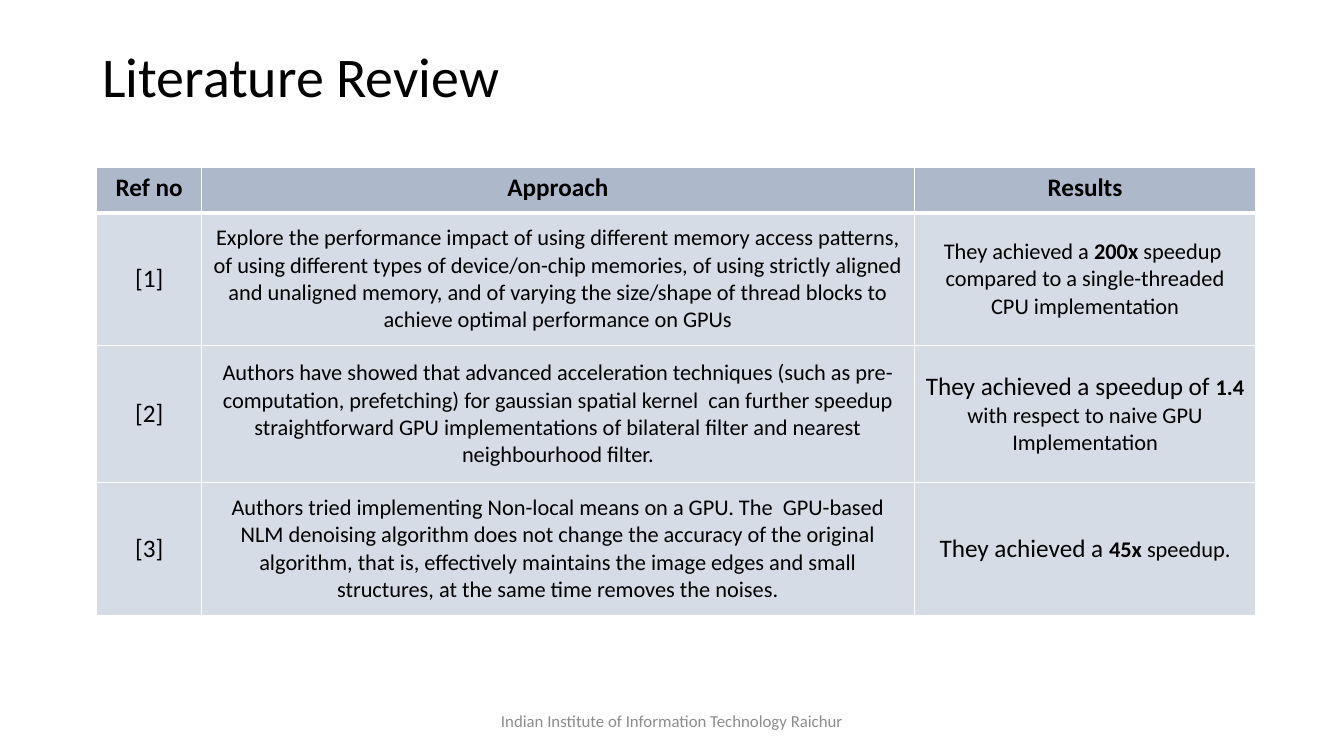
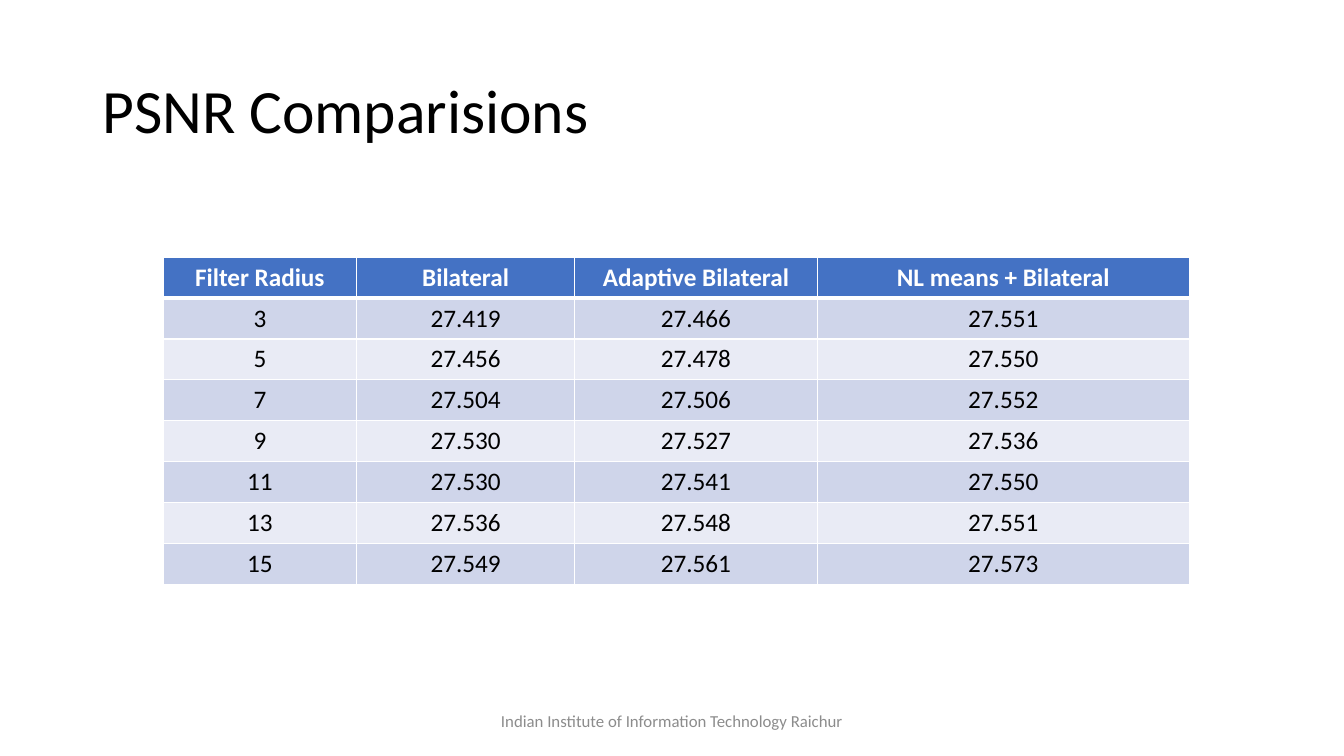
"""Build two slides on image denoising: a literature review and a PSNR comparison."""
from lxml.etree import SubElement
from pptx import Presentation
from pptx.dml.color import RGBColor
from pptx.enum.text import MSO_ANCHOR, PP_ALIGN
from pptx.oxml.ns import qn
from pptx.util import Cm, Pt

BLACK = RGBColor(0x00, 0x00, 0x00)
WHITE = RGBColor(0xFF, 0xFF, 0xFF)
FOOTER_GREY = RGBColor(0x8C, 0x8C, 0x8C)
STEEL = RGBColor(0xAD, 0xB9, 0xCA)
PALE_STEEL = RGBColor(0xD6, 0xDC, 0xE5)
BLUE = RGBColor(0x44, 0x72, 0xC4)
LIGHT_BLUE = RGBColor(0xCF, 0xD5, 0xEA)
PALE_BLUE = RGBColor(0xE9, 0xEB, 0xF5)

FONT = "Calibri"
FOOTER = "Indian Institute of Information Technology Raichur"

REVIEW_ROWS = [
    ["Ref no", "Approach", "Results"],
    [
        "[1]",
        [("Explore the performance impact of using different memory access patterns, "
          "of using different types of device/on-chip memories, of using strictly aligned "
          "and unaligned memory, and of varying the size/shape of thread blocks to "
          "achieve optimal performance on GPUs", 16, False)],
        [("They achieved a ", 16, False), ("200x", 16, True),
         (" speedup  compared to a single-threaded CPU implementation", 16, False)],
    ],
    [
        "[2]",
        [("Authors have showed that advanced acceleration techniques (such as "
          "pre-computation, prefetching) for gaussian spatial kernel  can further speedup "
          "straightforward GPU implementations of bilateral filter and nearest "
          "neighbourhood filter.", 16, False)],
        [("They achieved a speedup of ", 18, False), ("1.4", 16, True),
         (" with respect to naive GPU Implementation", 16, False)],
    ],
    [
        "[3]",
        [("Authors tried implementing Non-local means on a GPU. The  GPU-based "
          "NLM denoising algorithm does not change the accuracy of the "
          "original algorithm, that is, effectively maintains the image edges and small "
          "structures, at the same time removes the noises.", 16, False)],
        [("They achieved a ", 18, False), ("45x", 16, True), (" speedup.", 16, False)],
    ],
]

PSNR_ROWS = [
    ["Filter Radius", "Bilateral", "Adaptive Bilateral", "NL means + Bilateral"],
    ["3", "27.419", "27.466", "27.551"],
    ["5", "27.456", "27.478", "27.550"],
    ["7", "27.504", "27.506", "27.552"],
    ["9", "27.530", "27.527", "27.536"],
    ["11", "27.530", "27.541", "27.550"],
    ["13", "27.536", "27.548", "27.551"],
    ["15", "27.549", "27.561", "27.573"],
]

SLIDES = [
    {
        "title": "Literature Review", "title_size": 40, "title_height": 1.98,
        "rows": REVIEW_ROWS, "left": 2.44, "top": 4.22,
        "widths": [2.64, 17.96, 8.61], "heights": [1.14, 3.35, 3.45, 3.35],
        "header_fill": STEEL, "header_color": BLACK,
        "bands": [PALE_STEEL], "body_anchor": MSO_ANCHOR.MIDDLE,
    },
    {
        "title": "PSNR Comparisions", "title_size": 44, "title_height": 3.68,
        "rows": PSNR_ROWS, "left": 4.11, "top": 6.48,
        "widths": [4.88, 5.49, 6.12, 9.37], "heights": [1.03] * len(PSNR_ROWS),
        "header_fill": BLUE, "header_color": WHITE,
        "bands": [LIGHT_BLUE, PALE_BLUE], "body_anchor": MSO_ANCHOR.TOP,
    },
]


def write_spans(para, spans, color, align):
    para.alignment = align
    for text, size, bold in spans:
        span = para.add_run()
        span.text = text
        span.font.color.rgb = color
        for name, value in {"name": FONT, "size": Pt(size), "bold": bold}.items():
            setattr(span.font, name, value)


def draw_borders(cell, points):
    properties = cell._tc.get_or_add_tcPr()
    for side, width in points.items():
        line = SubElement(properties, qn(f"a:ln{side}"), w=str(Pt(width)))
        fill = SubElement(line, qn("a:solidFill"))
        SubElement(fill, qn("a:srgbClr"), val=str(WHITE))


deck = Presentation()
deck.slide_width, deck.slide_height = Cm(33.87), Cm(19.05)

for content in SLIDES:
    page = deck.slides.add_slide(deck.slide_layouts[6])

    labels = [
        (content["title"], content["title_size"], BLACK, PP_ALIGN.LEFT, 0.9,
         (2.33, 1.02, 29.21, content["title_height"])),
        (FOOTER, 12, FOOTER_GREY, PP_ALIGN.CENTER, 1.0, (11.22, 17.66, 11.43, 1.01)),
    ]
    for text, size, color, align, spacing, place in labels:
        box = page.shapes.add_textbox(*[Cm(length) for length in place])
        box.text_frame.word_wrap = True
        box.text_frame.vertical_anchor = MSO_ANCHOR.MIDDLE
        para = box.text_frame.paragraphs[0]
        para.line_spacing = spacing
        write_spans(para, [(text, size, False)], color, align)

    rows, widths, heights = content["rows"], content["widths"], content["heights"]
    table = page.shapes.add_table(
        len(rows), len(widths), Cm(content["left"]), Cm(content["top"]),
        Cm(sum(widths)), Cm(sum(heights))).table
    for column, width in zip(table.columns, widths):
        column.width = Cm(width)

    for row_index, (row, height) in enumerate(zip(rows, heights)):
        table.rows[row_index].height = Cm(height)
        header = row_index == 0
        bands = content["bands"]
        fill = content["header_fill"] if header else bands[(row_index - 1) % len(bands)]
        color = content["header_color"] if header else BLACK
        borders = {"L": 1, "R": 1, "T": 3 if row_index == 1 else 1, "B": 3 if header else 1}
        for column_index, entry in enumerate(row):
            cell = table.cell(row_index, column_index)
            draw_borders(cell, borders)
            cell.fill.solid()
            cell.fill.fore_color.rgb = fill
            cell.vertical_anchor = MSO_ANCHOR.TOP if header else content["body_anchor"]
            spans = [(entry, 18, header)] if isinstance(entry, str) else entry
            write_spans(cell.text_frame.paragraphs[0], spans, color, PP_ALIGN.CENTER)

deck.save("out.pptx")
